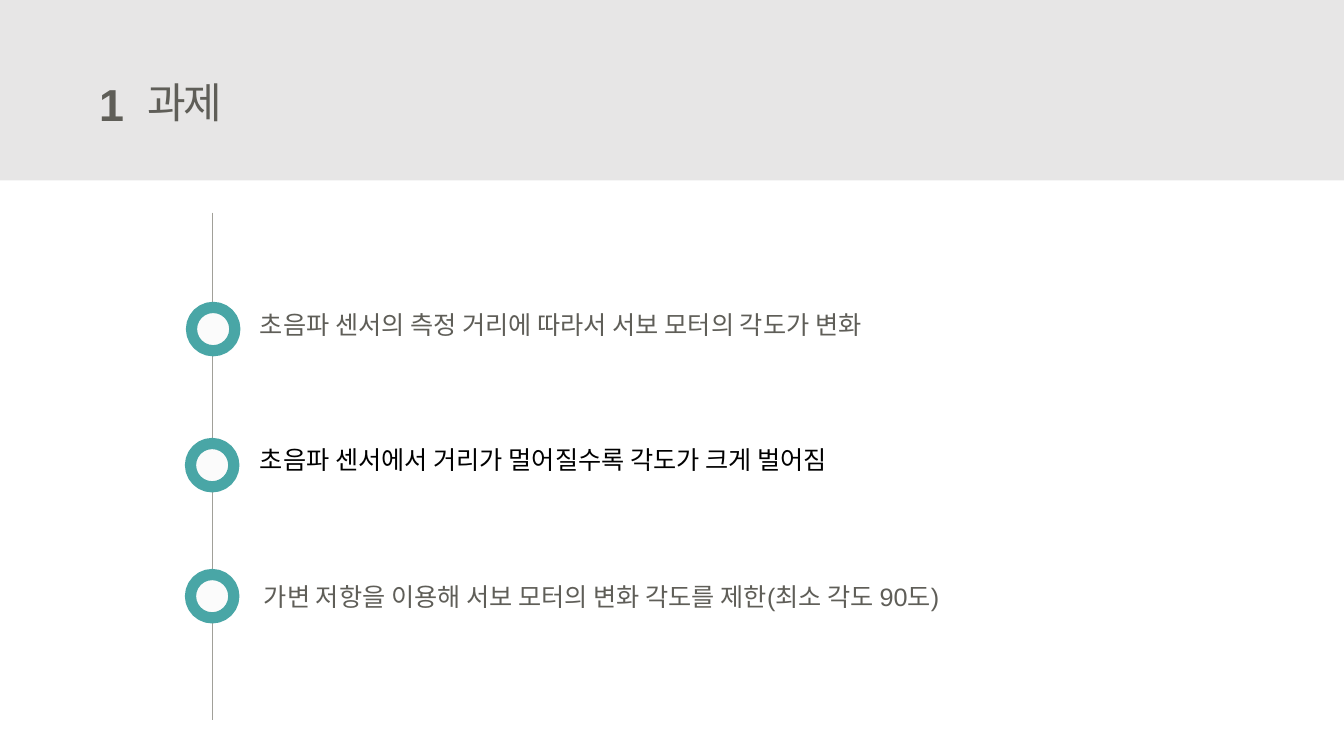
from lxml import etree
from pptx import Presentation
from pptx import util as u
from pptx.dml.color import RGBColor
from pptx.enum import shapes, text
from pptx.oxml.ns import qn

BAND = RGBColor(0xE7, 0xE6, 0xE6)
GREY = RGBColor(0x5F, 0x5E, 0x58)
BLACK = RGBColor(0, 0, 0)
RAIL = RGBColor(0xA1, 0xA0, 0x99)
TEAL = RGBColor(0x49, 0xA6, 0xA6)
PALE = RGBColor(0xFB, 0xFB, 0xFB)
LATIN, KOREAN = "Arial", "Noto Sans CJK KR"

CELL = u.Inches(0.1)  # the slide is a grid of 133.3 columns by 75 rows
COLS, ROWS = 133.33, 75
DOT, LABEL_HEIGHT = 4.3, 4

# label, font, colour, label (column, row, columns), dot (column, row),
# all counted from the corner of the timeline box
STEPS = [
    ("초음파 센서의 측정 거리에 따라서 서보 모터의 각도가 변화",
     LATIN, GREY, (5.9, 9.1, 68.2), (0.1, 9.4)),
    ("초음파 센서에서 거리가 멀어질수록 각도가 크게 벌어짐",
     KOREAN, BLACK, (5.9, 22.5, 65.4), (0, 22.9)),
    ("가변 저항을 이용해 서보 모터의 변화 각도를 제한(최소 각도 90도)",
     LATIN, GREY, (6.3, 36.1, 75.9), (0, 35.9)),
]


def grid(*cells):
    return [u.Emu(round(c * CELL)) for c in cells]


def write(sp, words, align=text.PP_ALIGN.LEFT, spacing=None, **font):
    """Put one unwrapped line of text in a shape."""
    tf = sp.text_frame
    frame = dict(word_wrap=False, auto_size=text.MSO_AUTO_SIZE.NONE,
                 vertical_anchor=text.MSO_ANCHOR.TOP)
    for name, value in frame.items():
        setattr(tf, name, value)
    p = tf.paragraphs[0]
    p.alignment = align
    r = p.add_run()
    r.text = words
    r.font.color.rgb = font.pop("color")
    for name, value in font.items():
        setattr(r.font, name, value)
    r_pr = r.font._element
    etree.SubElement(r_pr, qn("a:ea")).set("typeface", KOREAN)
    if spacing is not None:
        r_pr.set("spc", str(spacing))


def add_header(slide, left, top, width, height):
    band = slide.shapes.add_shape(shapes.MSO_SHAPE.RECTANGLE,
                                  *grid(left, top, width, height))
    band.shadow.inherit = False
    band.fill.solid()
    band.fill.fore_color.rgb = BAND
    band.line.fill.background()

    title = slide.shapes.title
    slide.shapes._spTree.append(title._element)  # in front of the band
    title.left, title.top, title.width, title.height = grid(
        left + 13.6, top + 7.1, 10, 6.1)
    write(title, "과제", spacing=-150, name=KOREAN, size=u.Pt(30), color=GREY)

    number = slide.shapes.add_textbox(*grid(left + 8.8, top + 7.1, 4.5, 6.4))
    write(number, "1", text.PP_ALIGN.RIGHT, name=LATIN, size=u.Pt(32),
          bold=True, color=GREY)


def add_timeline(slide, left, top, height):
    x = left + 2.2
    rail = slide.shapes.add_connector(shapes.MSO_CONNECTOR.STRAIGHT,
                                      *grid(x, top, x, top + height))
    rail.line.color.rgb = RAIL
    rail.line.width = u.Pt(0.5)
    etree.SubElement(rail._element.spPr, qn("a:effectLst"))

    for words, font, color, (col, row, width), (dot_col, dot_row) in STEPS:
        label = slide.shapes.add_textbox(
            *grid(left + col, top + row, width, LABEL_HEIGHT))
        write(label, words, name=font, size=u.Pt(18), color=color)

        dot = slide.shapes.add_shape(
            shapes.MSO_SHAPE.OVAL,
            *grid(left + dot_col, top + dot_row, DOT, DOT))
        dot.shadow.inherit = False
        dot.fill.solid()
        dot.fill.fore_color.rgb = PALE
        dot.line.color.rgb = TEAL
        dot.line.width = u.Pt(8)


def main():
    prs = Presentation()
    prs.slide_width, prs.slide_height = grid(COLS, ROWS)
    slide = prs.slides.add_slide(prs.slide_layouts[5])
    add_header(slide, 0, 0, COLS, 17.9)
    add_timeline(slide, 18.9, 21.1, 50.3)
    prs.save("out.pptx")


if __name__ == "__main__":
    main()
